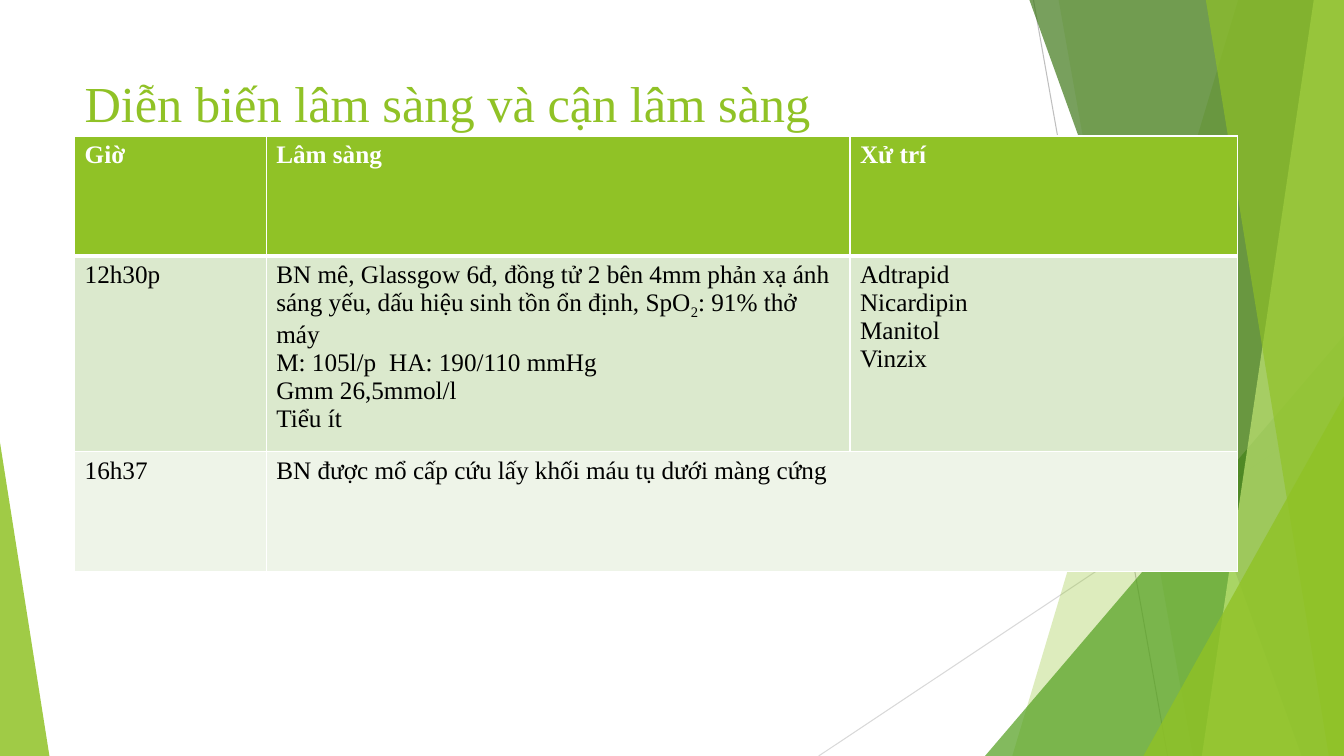
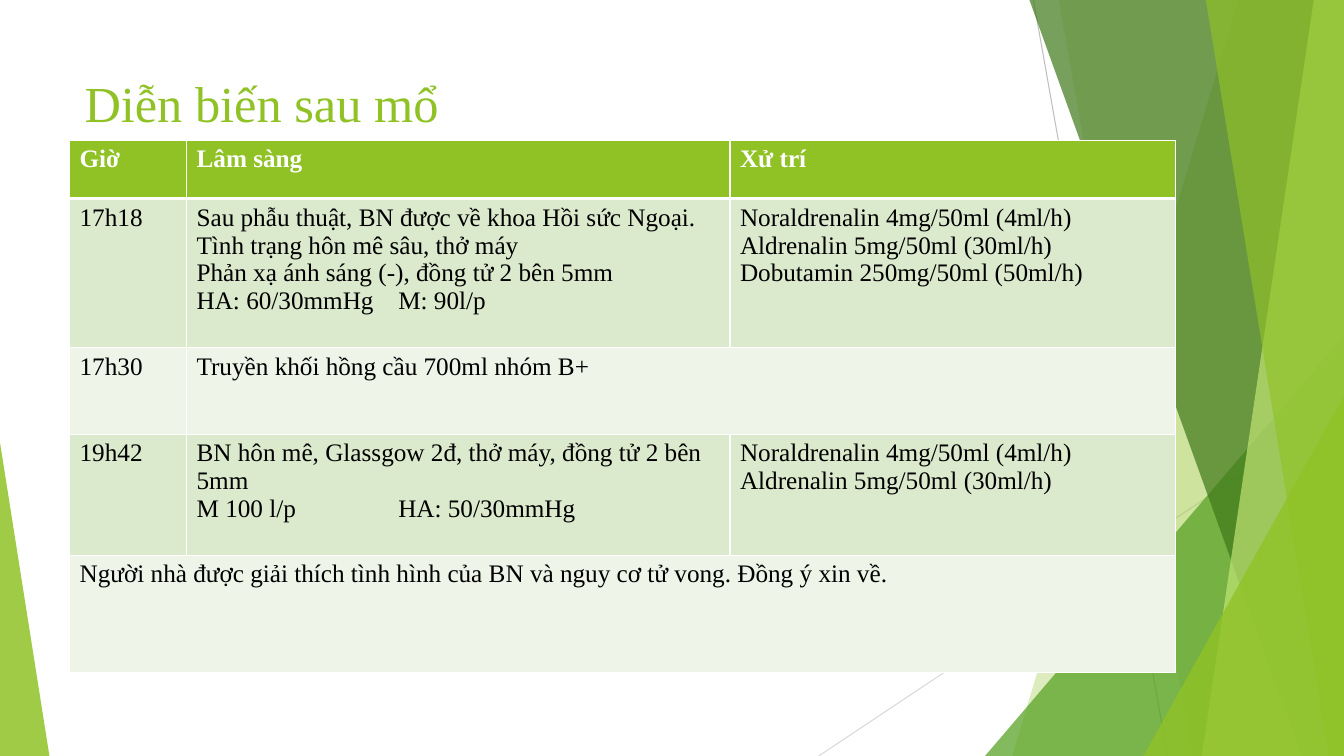
from dataclasses import dataclass

from lxml import etree
from pptx import Presentation
from pptx.dml.color import RGBColor
from pptx.enum.shapes import MSO_CONNECTOR, MSO_SHAPE
from pptx.oxml.ns import qn
from pptx.util import Inches, Pt

STRAIGHT = MSO_CONNECTOR.STRAIGHT
TRIANGLE = MSO_SHAPE.ISOSCELES_TRIANGLE

WHITE = RGBColor(0xFF, 0xFF, 0xFF)
BLACK = RGBColor(0x00, 0x00, 0x00)
GREEN = RGBColor(0x90, 0xC2, 0x26)
MID_GREEN = RGBColor(0x54, 0xA0, 0x21)
DARK_GREEN = RGBColor(0x3F, 0x78, 0x19)
LIME = RGBColor(0xC0, 0xE4, 0x74)
ROW_FILLS = (RGBColor(0xDB, 0xE9, 0xCD), RGBColor(0xEE, 0xF4, 0xE8))
GRAY = RGBColor(0xBF, 0xBF, 0xBF)
LIGHT_GRAY = RGBColor(0xD9, 0xD9, 0xD9)

FONT = "Times New Roman"
WIDTH, HEIGHT = 13.33, 7.5


@dataclass(frozen=True)
class Hairline:
    start: tuple[float, float]
    end: tuple[float, float]
    color: RGBColor


@dataclass(frozen=True)
class Band:
    """Area from a slanted left edge to the right side of the slide."""
    top_x: float
    bottom_x: float
    color: RGBColor
    opacity: int


@dataclass(frozen=True)
class Corner:
    """Right triangle standing on the bottom of the slide."""
    left: float
    right: float
    top: float
    apex: float
    color: RGBColor
    opacity: int


@dataclass(frozen=True)
class Line:
    """Paragraph whose every second piece is a subscript."""
    pieces: tuple[str, ...]
    tab: float = 0


@dataclass(frozen=True)
class TableSlide:
    """A row with fewer cells than columns stretches its last cell."""
    title: str
    left: float
    top: float
    cols: tuple[float, ...]
    row_heights: tuple[float, ...]
    rows: list[list[list[Line]]]


BACKDROP = (
    Hairline((10.25, 0), (11.58, HEIGHT), GRAY),
    Hairline((WIDTH, 4.03), (8.12, HEIGHT), LIGHT_GRAY),
    Band(12.28, 10.04, GREEN, 30),
    Band(10.5, 11.83, GREEN, 20),
    Corner(9.77, WIDTH, 3.33, 1, MID_GREEN, 72),
    Band(10.21, 12.91, DARK_GREEN, 70),
    Band(13.03, 11.92, LIME, 70),
    Band(11.96, 13.18, GREEN, 65),
    Corner(11.34, WIDTH, 3.93, 1, GREEN, 80),
    Corner(0, 0.49, 4.39, 0, GREEN, 85),
)


def lines(*texts: str) -> list[Line]:
    return [Line((text,)) for text in texts]


HEADER = [lines("Giờ"), lines("Lâm sàng"), lines("Xử trí")]
PRESSORS = ("Noraldrenalin 4mg/50ml (4ml/h)", "Aldrenalin 5mg/50ml (30ml/h)")

SLIDES = (
    TableSlide(
        "Diễn biến lâm sàng và cận lâm sàng", 0.74, 1.35,
        (1.9, 5.79, 3.84), (1.19, 1.94, 1.19),
        [
            HEADER,
            [
                lines("12h30p"),
                [
                    Line(("BN mê, Glassgow 6đ, đồng tử 2 bên 4mm phản xạ ánh sáng yếu, "
                          "dấu hiệu sinh tồn ổn định, SpO", "2", ": 91% thở máy")),
                    Line(("M: 105l/p\tHA: 190/110 mmHg",), tab=1.12),
                    *lines("Gmm 26,5mmol/l", "Tiểu ít"),
                ],
                lines("Adtrapid", "Nicardipin", "Manitol", "Vinzix"),
            ],
            [lines("16h37"), lines("BN được mổ cấp cứu lấy khối máu tụ dưới màng cứng")],
        ],
    ),
    TableSlide(
        "Diễn biến sau mổ", 0.69, 1.39,
        (1.16, 5.39, 4.42), (0.58, 1.48, 0.86, 1.2, 1.16),
        [
            HEADER,
            [
                lines("17h18"),
                [
                    *lines("Sau phẫu thuật, BN được về khoa Hồi sức Ngoại. "
                           "Tình trạng hôn mê sâu, thở máy",
                           "Phản xạ ánh sáng (-), đồng tử 2 bên 5mm"),
                    Line(("HA: 60/30mmHg\tM: 90l/p",), tab=2),
                ],
                lines(*PRESSORS, "Dobutamin 250mg/50ml (50ml/h)"),
            ],
            [lines("17h30"), lines("Truyền khối hồng cầu 700ml nhóm B+")],
            [
                lines("19h42"),
                [
                    *lines("BN hôn mê, Glassgow 2đ, thở máy, đồng tử 2 bên 5mm"),
                    Line(("M 100 l/p\tHA: 50/30mmHg",), tab=2),
                ],
                lines(*PRESSORS),
            ],
            [lines("Người nhà được giải thích tình hình của BN và nguy cơ tử vong. "
                   "Đồng ý xin về.")],
        ],
    ),
)


def write(tf, content: list[Line], *, size: float = 18,
          color: RGBColor = BLACK, bold: bool = False) -> None:
    tf.word_wrap = True
    for i, line in enumerate(content):
        p = tf.add_paragraph() if i else tf.paragraphs[0]
        if line.tab:
            tabs = etree.SubElement(p._p.get_or_add_pPr(), qn("a:tabLst"))
            etree.SubElement(tabs, qn("a:tab"), pos=str(Inches(line.tab)), algn="l")
        for j, piece in enumerate(line.pieces):
            r = p.add_run()
            r.text = piece
            r.font.name = FONT
            r.font.size = Pt(size)
            r.font.bold = bold
            r.font.color.rgb = color
            if j % 2:
                r._r.get_or_add_rPr().set("baseline", "-25000")


def paint(sp, color: RGBColor, opacity: int) -> None:
    sp.shadow.inherit = False
    sp.fill.solid()
    sp.fill.fore_color.rgb = color
    sp.line.fill.background()
    tint = sp.element.spPr.find(f"{qn('a:solidFill')}/{qn('a:srgbClr')}")
    etree.SubElement(tint, qn("a:alpha"), val=str(opacity * 1000))


def draw_hairline(s, hairline: Hairline) -> None:
    ends = (Inches(v) for v in hairline.start + hairline.end)
    line = s.shapes.add_connector(STRAIGHT, *ends)
    line.line.color.rgb = hairline.color
    line.line.width = Pt(0.75)
    etree.SubElement(line.element.spPr, qn("a:effectLst"))


def draw_band(s, band: Band) -> None:
    outline = s.shapes.build_freeform(Inches(band.top_x), 0)
    corners = ((WIDTH, 0), (WIDTH, HEIGHT), (band.bottom_x, HEIGHT))
    outline.add_line_segments([(Inches(x), Inches(y)) for x, y in corners])
    paint(outline.convert_to_shape(), band.color, band.opacity)


def draw_corner(s, corner: Corner) -> None:
    sp = s.shapes.add_shape(
        TRIANGLE, Inches(corner.left), Inches(corner.top),
        Inches(corner.right - corner.left), Inches(HEIGHT - corner.top))
    sp.adjustments[0] = corner.apex
    paint(sp, corner.color, corner.opacity)


DRAW = {Hairline: draw_hairline, Band: draw_band, Corner: draw_corner}


def set_borders(cell, top: float, bottom: float) -> None:
    tcPr = cell._tc.get_or_add_tcPr()
    for side, width in (("L", 1), ("R", 1), ("T", top), ("B", bottom)):
        ln = etree.SubElement(tcPr, qn(f"a:ln{side}"), w=str(Pt(width)))
        fill = etree.SubElement(ln, qn("a:solidFill"))
        etree.SubElement(fill, qn("a:srgbClr"), val=str(WHITE))


def draw_table(s, content: TableSlide) -> None:
    n_rows, n_cols = len(content.rows), len(content.cols)
    table = s.shapes.add_table(
        n_rows, n_cols, Inches(content.left), Inches(content.top),
        Inches(sum(content.cols)), Inches(sum(content.row_heights))).table
    table.horz_banding = False
    for column, width in zip(table.columns, content.cols):
        column.width = Inches(width)
    for i, row in enumerate(content.rows):
        table.rows[i].height = Inches(content.row_heights[i])
        header = i == 0
        for j in range(n_cols):
            cell = table.cell(i, j)
            set_borders(cell, top=3 if i == 1 else 1, bottom=3 if header else 1)
            cell.fill.solid()
            cell.fill.fore_color.rgb = GREEN if header else ROW_FILLS[(i - 1) % 2]
        if len(row) < n_cols:
            table.cell(i, len(row) - 1).merge(table.cell(i, n_cols - 1))
        for j, text in enumerate(row):
            write(table.cell(i, j).text_frame, text,
                  color=WHITE if header else BLACK, bold=header)


def build_slide(prs, content: TableSlide) -> None:
    s = prs.slides.add_slide(prs.slide_layouts[6])
    for item in BACKDROP:
        DRAW[type(item)](s, item)
    title = s.shapes.add_textbox(Inches(0.74), Inches(0.67), Inches(9.4), Inches(1.44))
    write(title.text_frame, lines(content.title), size=36, color=GREEN)
    draw_table(s, content)


def main() -> None:
    prs = Presentation()
    prs.slide_width, prs.slide_height = Inches(WIDTH), Inches(HEIGHT)
    for content in SLIDES:
        build_slide(prs, content)
    prs.save("out.pptx")


if __name__ == "__main__":
    main()
